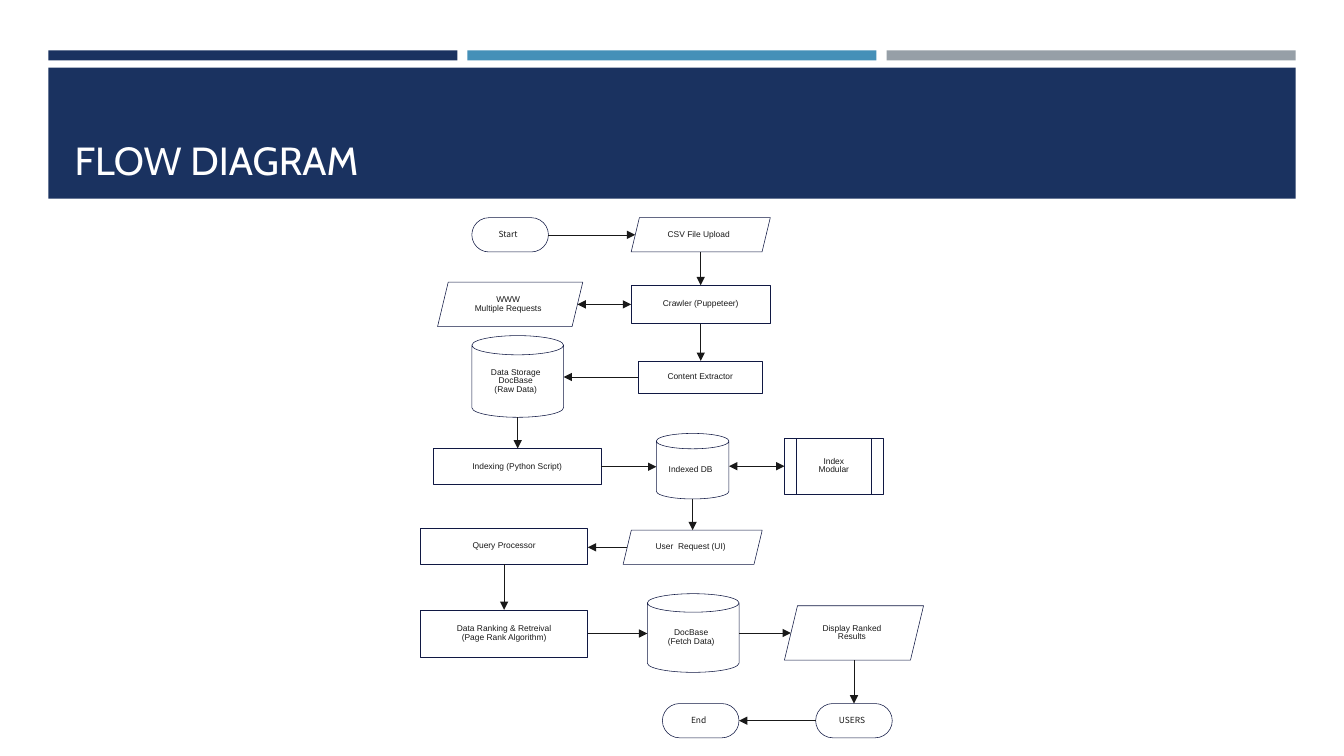
import lxml.etree
import pptx
import pptx.dml.color
import pptx.enum.shapes
import pptx.enum.text
import pptx.oxml.ns
import pptx.util

Inches = pptx.util.Inches
RGBColor = pptx.dml.color.RGBColor
MSO_SHAPE = pptx.enum.shapes.MSO_SHAPE
PP_ALIGN = pptx.enum.text.PP_ALIGN
MSO_ANCHOR = pptx.enum.text.MSO_ANCHOR

NAVY = RGBColor(0x1A, 0x32, 0x60)
BLUE = RGBColor(0x45, 0x90, 0xB8)
GREY = RGBColor(0x96, 0x9F, 0xA7)
WHITE = RGBColor(0xFF, 0xFF, 0xFF)
OUTLINE = RGBColor(0x10, 0x18, 0x43)
INK = RGBColor(0x19, 0x19, 0x19)

LINE_WIDTH = pptx.util.Pt(0.39)
SLANT = 0.24  # share of a parallelogram's height
LID = 0.235  # share of a can's shorter side

TERMINAL = MSO_SHAPE.ROUNDED_RECTANGLE
DATA = MSO_SHAPE.PARALLELOGRAM
PROCESS = MSO_SHAPE.RECTANGLE
STORE = MSO_SHAPE.CAN
MODULE = MSO_SHAPE.FLOWCHART_PREDEFINED_PROCESS
ADJUSTMENTS = {TERMINAL: 0.5, DATA: SLANT, STORE: LID}

# name: (kind, box relative to the diagram, lines of text)
NODES = {
    "start": (TERMINAL, (0.51, 0, 0.76, 0.34), ["Start"]),
    "upload": (DATA, (2.09, 0, 1.38, 0.34), ["CSV File Upload"]),
    "crawler": (PROCESS, (2.09, 0.67, 1.38, 0.38), ["Crawler (Puppeteer)"]),
    "www": (DATA, (0.17, 0.64, 1.44, 0.44), ["WWW", "Multiple Requests"]),
    "extractor": (PROCESS, (2.16, 1.42, 1.23, 0.32), ["Content Extractor"]),
    "raw": (STORE, (0.51, 1.17, 0.91, 0.81),
            ["Data Storage", "DocBase", "(Raw Data)"]),
    "indexing": (PROCESS, (0.13, 2.29, 1.66, 0.36), ["Indexing (Python Script)"]),
    "indexed": (STORE, (2.34, 2.14, 0.72, 0.65), ["Indexed DB"]),
    "modular": (MODULE, (3.61, 2.19, 0.98, 0.55), ["Index", "Modular"]),
    "request": (DATA, (2.01, 3.1, 1.38, 0.34), ["User  Request (UI)"]),
    "query": (PROCESS, (0, 3.08, 1.66, 0.36), ["Query Processor"]),
    "ranking": (PROCESS, (0, 3.89, 1.66, 0.47),
                ["Data Ranking & Retreival", "(Page Rank Algorithm)"]),
    "fetch": (STORE, (2.25, 3.73, 0.91, 0.78), ["DocBase", "(Fetch Data)"]),
    "display": (DATA, (3.61, 3.85, 1.38, 0.54), ["Display Ranked", "Results"]),
    "users": (TERMINAL, (3.92, 4.82, 0.76, 0.34), ["USERS"]),
    "end": (TERMINAL, (2.4, 4.82, 0.76, 0.34), ["End"]),
}

FLOWS = [
    ("start", "upload"), ("upload", "crawler"), ("crawler", "extractor"),
    ("extractor", "raw"), ("raw", "indexing"), ("indexing", "indexed"),
    ("indexed", "request"), ("request", "query"), ("query", "ranking"),
    ("ranking", "fetch"), ("fetch", "display"), ("display", "users"),
    ("users", "end"),
]
TWO_WAY_FLOWS = [("www", "crawler"), ("indexed", "modular")]


def set_all(obj, values):
    for name, value in values.items():
        setattr(obj, name, value)


def add_bar(slide, box, color):
    sp = slide.shapes.add_shape(PROCESS, *map(Inches, box))
    sp.shadow.inherit = False
    sp.fill.solid()
    sp.fill.fore_color.rgb = color
    sp.line.fill.background()


def add_header(slide, x, y, w):
    gap = 0.1
    bar_w = (w - 2 * gap) / 3
    for i, color in enumerate((NAVY, BLUE, GREY)):
        add_bar(slide, (x + i * (bar_w + gap), y, bar_w, 0.1), color)
    add_bar(slide, (x, y + 0.17, w, 1.3), NAVY)

    title = slide.shapes.title
    slide.shapes._spTree.append(title._element)  # in front of the band
    set_all(title, {"left": Inches(x + 0.16), "top": Inches(y + 0.27),
                    "width": Inches(12.06), "height": Inches(1.11)})
    tf = title.text_frame
    tf.text = "FLOW DIAGRAM"
    set_all(tf, {"vertical_anchor": MSO_ANCHOR.BOTTOM, "word_wrap": True,
                 "auto_size": pptx.enum.text.MSO_AUTO_SIZE.NONE})
    p = tf.paragraphs[0]
    set_all(p, {"alignment": PP_ALIGN.LEFT, "line_spacing": 0.9})
    set_all(p.font, {"name": "Cabin", "size": pptx.util.Pt(28)})
    p.font.color.rgb = WHITE


def add_node(slide, kind, box, lines):
    sp = slide.shapes.add_shape(kind, *map(Inches, box))
    sp.shadow.inherit = False
    if kind in ADJUSTMENTS:
        sp.adjustments[0] = ADJUSTMENTS[kind]
    sp.fill.solid()
    sp.fill.fore_color.rgb = WHITE
    sp.line.color.rgb = OUTLINE
    sp.line.width = LINE_WIDTH

    margin = Inches(0.02)
    right = Inches(0.06) if kind in ADJUSTMENTS else margin
    tf = sp.text_frame
    set_all(tf, {"margin_left": margin, "margin_right": right,
                 "margin_top": margin, "margin_bottom": margin,
                 "word_wrap": True, "vertical_anchor": MSO_ANCHOR.MIDDLE})
    font = "Noto Sans CJK SC" if kind == TERMINAL else "Arial"
    for i, line in enumerate(lines):
        p = tf.add_paragraph() if i else tf.paragraphs[0]
        set_all(p, {"alignment": PP_ALIGN.CENTER, "line_spacing": 0.83})
        r = p.add_run()
        r.text = line
        set_all(r.font, {"name": font, "size": pptx.util.Pt(6)})
        r.font.color.rgb = INK
    return sp


def side_inset(sp):
    """Distance from the box edge to the middle of a slanted side."""
    slanted = sp.auto_shape_type == DATA
    return int(sp.height * SLANT / 2) if slanted else 0


def add_arrow(slide, a, b, two_way=False):
    """Join neighbours sideways, or downwards when b lies below a."""
    a_right, b_right = a.left + a.width, b.left + b.width
    y = a.top + a.height // 2
    if a_right < b.left:
        ends = (a_right - side_inset(a), y, b.left + side_inset(b), y)
    elif b_right < a.left:
        ends = (a.left + side_inset(a), y, b_right - side_inset(b), y)
    else:
        x = a.left + a.width // 2
        ends = (x, a.top + a.height, x, b.top)
    cn = slide.shapes.add_connector(pptx.enum.shapes.MSO_CONNECTOR.STRAIGHT, *ends)
    cn.line.color.rgb = INK
    cn.line.width = LINE_WIDTH
    ln = cn.line._get_or_add_ln()
    for tag in ("a:headEnd", "a:tailEnd") if two_way else ("a:tailEnd",):
        lxml.etree.SubElement(ln, pptx.oxml.ns.qn(tag), type="triangle")
    lxml.etree.SubElement(cn._element.spPr, pptx.oxml.ns.qn("a:effectLst"))


def add_flow_diagram(slide, x, y):
    nodes = {}
    for name, (kind, (dx, dy, w, h), lines) in NODES.items():
        nodes[name] = add_node(slide, kind, (x + dx, y + dy, w, h), lines)
    for a, b in FLOWS:
        add_arrow(slide, nodes[a], nodes[b])
    for a, b in TWO_WAY_FLOWS:
        add_arrow(slide, nodes[a], nodes[b], two_way=True)


def main():
    prs = pptx.Presentation()
    prs.slide_width, prs.slide_height = Inches(13.33), Inches(7.5)
    slide = prs.slides.add_slide(prs.slide_layouts.get_by_name("Title Only"))
    add_header(slide, 0.48, 0.5, 12.37)
    add_flow_diagram(slide, 4.17, 2.16)
    prs.save("out.pptx")


if __name__ == "__main__":
    main()
